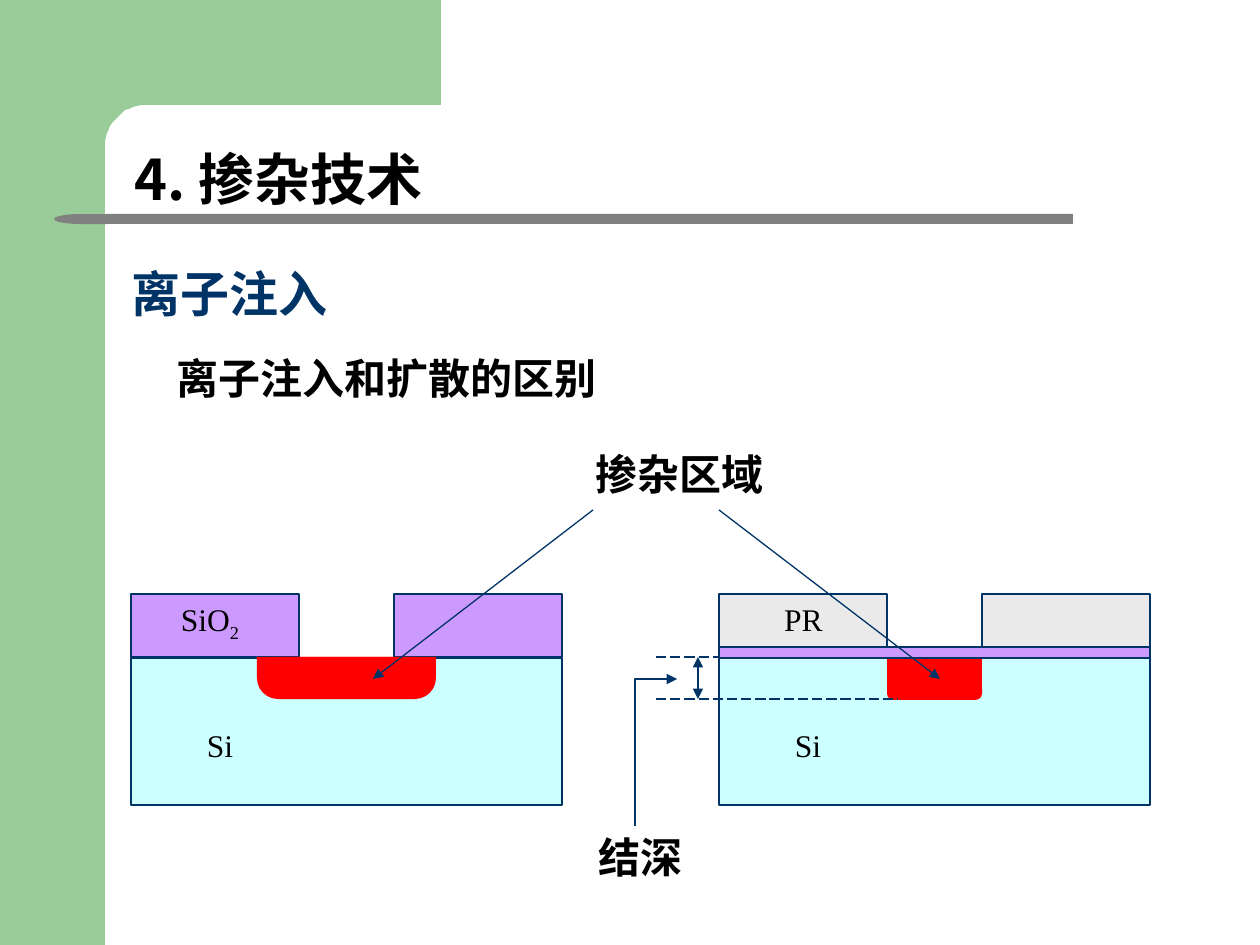
import math
from dataclasses import dataclass

from lxml import etree
from pptx import Presentation
from pptx import util as u
from pptx.dml.color import RGBColor
from pptx.enum import dml, shapes, text
from pptx.oxml.ns import qn

PX = 914400 / 126
SANS, SERIF = "Noto Sans CJK SC", "Times New Roman"
GREEN, GREY, NAVY, BLACK = "99CC99", "808080", "003366", "000000"
SILICON, OXIDE, RESIST, DOPED = "CCFFFF", "CC99FF", "EAEAEA", "FF0000"
KIND = shapes.MSO_SHAPE


@dataclass
class Block:
    left: int
    top: int
    width: int
    height: int
    fill: str | None = None
    line: str | None = None
    kind: int = KIND.RECTANGLE
    corner: float | None = None
    turn: int = 0


@dataclass
class Label:
    left: int
    top: int
    width: int
    height: int
    wording: str
    size: int = 18
    font: str = SERIF
    bold: bool = False
    subscript: str = ""


@dataclass
class Rule:
    start: tuple[int, int]
    end: tuple[int, int]
    heads: tuple[str, ...] = ()
    dashed: bool = False


def emu(px: float) -> int:
    return round(px * PX)


def box(item: Block | Label) -> list[int]:
    return [emu(v) for v in (item.left, item.top, item.width, item.height)]


def colour(code: str) -> RGBColor:
    return RGBColor.from_string(code)


def stroke(line, code: str, heads: tuple[str, ...] = (), dashed: bool = False) -> None:
    line.color.rgb = colour(code)
    line.width = u.Pt(0.75)
    if dashed:
        line.dash_style = dml.MSO_LINE.LONG_DASH
    for head in heads:
        etree.SubElement(line._get_or_add_ln(), qn(f"a:{head}"), type="triangle")


def paint(shape, fill: str | None, line: str | None) -> None:
    shape.shadow.inherit = False
    if fill:
        shape.fill.solid()
        shape.fill.fore_color.rgb = colour(fill)
    else:
        shape.fill.background()
    if line:
        stroke(shape.line, line)
    else:
        shape.line.fill.background()


def draw_block(slide, block: Block):
    shape = slide.shapes.add_shape(block.kind, *box(block))
    paint(shape, block.fill, block.line)
    shape.rotation = block.turn
    if block.corner is not None:
        shape.adjustments[0] = block.corner
    return shape


def draw_rule(slide, rule: Rule) -> None:
    ends = [emu(v) for v in (*rule.start, *rule.end)]
    connector = slide.shapes.add_connector(shapes.MSO_CONNECTOR.STRAIGHT, *ends)
    stroke(connector.line, NAVY, rule.heads, rule.dashed)
    etree.SubElement(connector._element.spPr, qn("a:effectLst"))


def draw_path(slide, points: list[tuple[float, float]], close: bool):
    builder = slide.shapes.build_freeform(*points[0], scale=PX)
    builder.add_line_segments(points[1:], close=close)
    return builder.convert_to_shape()


def write(shape, wording: str, *, size: int, font: str = SANS, bold: bool = True,
          code: str = BLACK, align=text.PP_ALIGN.LEFT, anchor=text.MSO_ANCHOR.BOTTOM,
          spacing: float = 0.9, fit=text.MSO_AUTO_SIZE.NONE, subscript: str = "") -> None:
    frame = shape.text_frame
    frame.word_wrap = True
    frame.auto_size = fit
    frame.vertical_anchor = anchor
    paragraph = frame.paragraphs[0]
    paragraph.alignment = align
    paragraph.line_spacing = spacing
    for part in filter(None, (wording, subscript)):
        run = paragraph.add_run()
        run.text = part
        run.font.size = u.Pt(size)
        run.font.bold = bold
        run.font.name = font
        run.font.color.rgb = colour(code)
        properties = run._r.get_or_add_rPr()
        etree.SubElement(properties, qn("a:ea"), typeface=SANS)
        if part == subscript:
            properties.set("baseline", "-25000")


def draw_label(slide, label: Label) -> None:
    write(slide.shapes.add_textbox(*box(label)), label.wording, size=label.size,
          font=label.font, bold=label.bold, align=text.PP_ALIGN.CENTER,
          anchor=text.MSO_ANCHOR.TOP, spacing=1.0,
          fit=text.MSO_AUTO_SIZE.SHAPE_TO_FIT_TEXT, subscript=label.subscript)


def draw_frame(slide) -> None:
    radius, edge = 41, 105
    centre = edge + radius
    angles = [math.radians(a) for a in range(270, 179, -6)]
    arc = [(centre + radius * math.cos(a), centre + radius * math.sin(a)) for a in angles]
    draw_block(slide, Block(0, 0, edge, 945, GREEN))
    corner = draw_path(slide, [(441, 0), (441, edge), *arc, (edge, 161), (63, 161), (63, 0)], True)
    paint(corner, GREEN, None)
    draw_block(slide, Block(107, 214, 966, 10, GREY))
    draw_block(slide, Block(54, 214, 54, 10, GREY, kind=KIND.FLOWCHART_DELAY, turn=180))


def draw_wafer(slide, left: int, mask: str) -> None:
    draw_block(slide, Block(left, 658, 431, 147, SILICON, NAVY))
    for offset in (0, 263):
        draw_block(slide, Block(left + offset, 594, 168, 63, mask, NAVY))


def main() -> None:
    deck = Presentation()
    deck.slide_width, deck.slide_height = emu(1260), emu(945)
    slide = deck.slides.add_slide(deck.slide_layouts[5])
    draw_frame(slide)

    comparison = slide.shapes.title
    comparison.left, comparison.top, comparison.width, comparison.height = box(
        Block(164, 314, 506, 96))
    write(comparison, "离子注入和扩散的区别", size=24)

    diffusion, implant = 131, 719
    draw_wafer(slide, implant, RESIST)
    draw_wafer(slide, diffusion, OXIDE)
    rounded = KIND.ROUNDED_RECTANGLE
    for block in (
        Block(887, 647, 95, 53, DOPED, kind=rounded, corner=0.12),
        Block(implant, 647, 431, 11, OXIDE, NAVY),
        Block(257, 657, 179, 42, DOPED, kind=rounded, corner=0.5),
        Block(257, 657, 179, 21, DOPED),
    ):
        draw_block(slide, block)

    for rule in (
        Rule((593, 510), (373, 679), ("tailEnd",)),
        Rule((719, 510), (940, 679), ("tailEnd",)),
        Rule((656, 699), (898, 699), dashed=True),
        Rule((656, 657), (719, 657), dashed=True),
        Rule((698, 657), (698, 699), ("headEnd", "tailEnd")),
    ):
        draw_rule(slide, rule)
    depth_pointer = draw_path(slide, [(635, 826), (635, 679), (677, 679)], False)
    paint(depth_pointer, None, NAVY)
    stroke(depth_pointer.line, NAVY, ("tailEnd",))

    for label in (
        Label(751, 594, 105, 50, "PR"),
        Label(142, 594, 136, 50, "SiO", subscript="2"),
        Label(152, 720, 136, 50, "Si"),
        Label(740, 720, 136, 50, "Si"),
        Label(501, 442, 357, 63, "掺杂区域", 24, SERIF, True),
        Label(499, 825, 283, 63, "结深", 24, SANS, True),
    ):
        draw_label(slide, label)

    subject = Block(115, 265, 576, 69, kind=rounded, corner=0.22)
    write(draw_block(slide, subject), "离子注入", size=28, code=NAVY)
    chapter = Block(115, 116, 576, 110, kind=rounded, corner=0.22)
    write(draw_block(slide, chapter), "4. 掺杂技术", size=32)
    deck.save("out.pptx")


if __name__ == "__main__":
    main()
